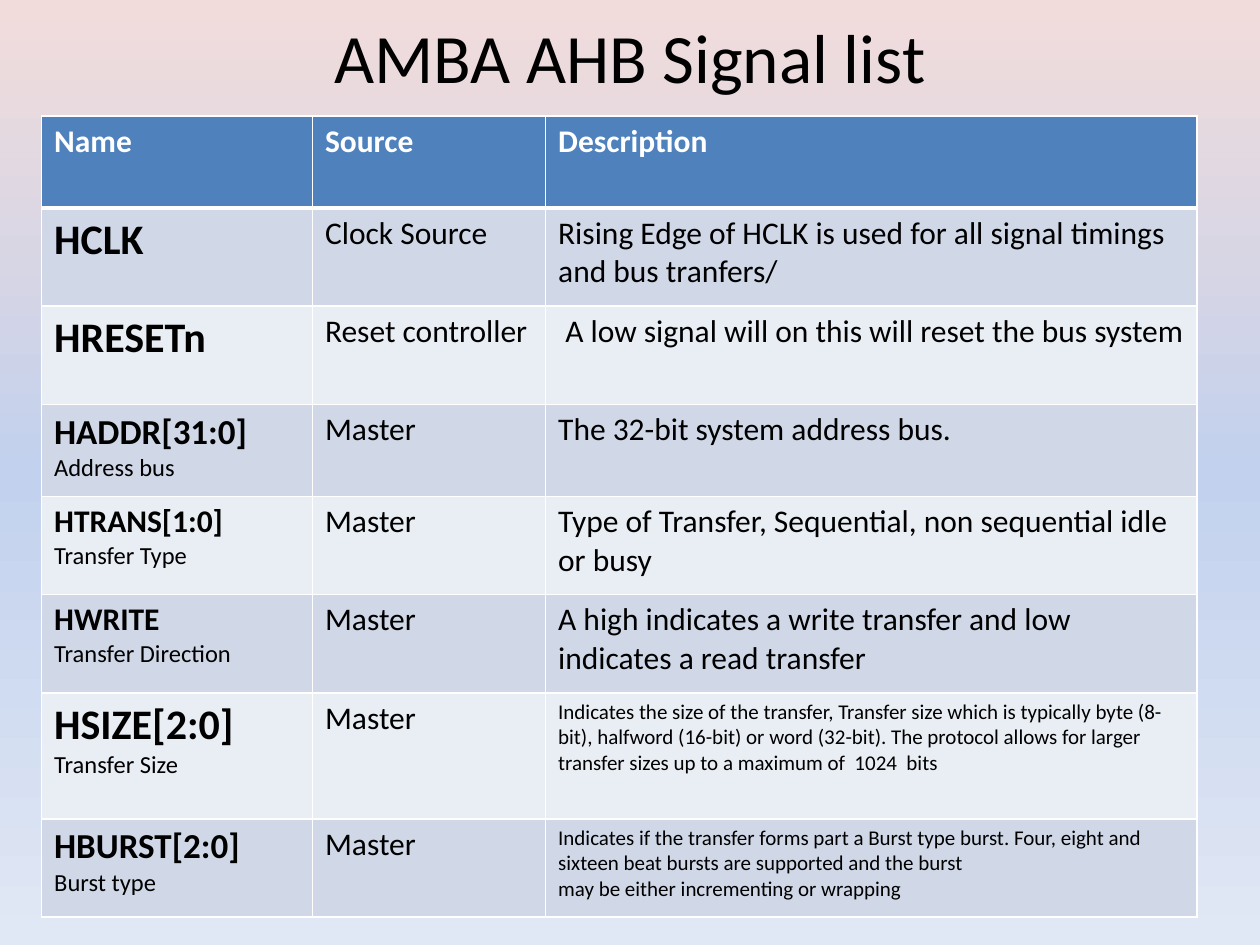
from copy import deepcopy

from lxml import etree
from pptx import Presentation
from pptx.dml.color import RGBColor
from pptx.enum.text import MSO_ANCHOR, PP_ALIGN
from pptx.oxml.ns import qn
from pptx.util import Inches, Pt

MIDDLE = MSO_ANCHOR.MIDDLE
CENTER = PP_ALIGN.CENTER
FONT = "Calibri"
COLORS = {
    "sky_top": "F2DCDB", "sky_middle": "C2D1ED", "sky_bottom": "E1E8F5",
    "header": "4F81BD", "band_dark": "D0D8E8", "band_light": "E9EDF4",
    "white": "FFFFFF", "black": "000000",
}
COLUMNS = [2.15, 1.85, 5.17]
ROWS = [0.73, 0.78, 0.78, 0.73, 0.78, 0.78, 1, 0.78]
THIN, THICK = Pt(1), Pt(3)

# Signal, size of its name, subtitle, source, size of the description, description
SIGNALS = [
    ("HCLK", 24, "", "Clock Source", 18,
     "Rising Edge of HCLK is used for all signal timings and bus tranfers/"),
    ("HRESETn", 24, "", "Reset controller", 18,
     " A low signal will on this will reset the bus system"),
    ("HADDR[31:0]", 20, "Address bus", "Master", 18,
     "The 32-bit system address bus."),
    ("HTRANS[1:0]", 18, "Transfer Type", "Master", 18,
     "Type of Transfer, Sequential, non sequential idle or busy"),
    ("HWRITE", 18, "Transfer Direction", "Master", 18,
     "A high indicates a write transfer and low indicates a read transfer"),
    ("HSIZE[2:0]", 24, "Transfer Size", "Master", 12,
     "Indicates the size of the transfer, Transfer size which is typically byte (8-bit), "
     "halfword (16-bit) or word (32-bit). The protocol allows for larger transfer sizes "
     "up to a maximum of  1024  bits"),
    ("HBURST[2:0]", 20, "Burst type", "Master", 12,
     "Indicates if the transfer forms part a Burst type burst. Four, eight and sixteen "
     "beat bursts are supported and the burst\nmay be either incrementing or wrapping"),
]


def write(frame, lines, color="black"):
    """Fill a text frame with one paragraph per (text, size, bold) line."""
    for index, (text, size, bold) in enumerate(lines):
        paragraph = frame.add_paragraph() if index else frame.paragraphs[0]
        run = paragraph.add_run()
        run.text = text
        looks = {"name": FONT, "size": Pt(size), "bold": bold}
        for attribute, value in looks.items():
            setattr(run.font, attribute, value)
        run.font.color.rgb = RGBColor.from_string(COLORS[color])


def add_borders(cell, widths):
    properties = cell._tc.get_or_add_tcPr()
    for position, (side, width) in enumerate(widths.items()):
        line = etree.Element(qn(f"a:ln{side}"), w=str(width))
        fill = etree.SubElement(line, qn("a:solidFill"))
        etree.SubElement(fill, qn("a:srgbClr"), val=COLORS["white"])
        properties.insert(position, line)


deck = Presentation()
deck.slide_width, deck.slide_height = Inches(10), Inches(7.5)
slide = deck.slides.add_slide(deck.slide_layouts[6])

# Background: three colours from top to bottom
sky = slide.background.fill
sky.gradient()
sky.gradient_angle = 270
stop_list = slide.element.find(".//" + qn("a:gsLst"))
stop_list.insert(1, deepcopy(stop_list[0]))
for index, stop in enumerate(sky.gradient_stops):
    stop.position = index / 2
    stop.color.rgb = RGBColor.from_string(
        COLORS[("sky_top", "sky_middle", "sky_bottom")[index]])

# Title
title = slide.shapes.add_textbox(
    Inches(0.5), Inches(0.13), Inches(9), Inches(0.62)).text_frame
title.word_wrap = True
title.vertical_anchor = MIDDLE
write(title, [("AMBA AHB Signal list", 39.6, False)])
title.paragraphs[0].alignment = CENTER

# Signal table
table = slide.shapes.add_table(
    len(ROWS), len(COLUMNS), Inches(0.33), Inches(0.92),
    Inches(sum(COLUMNS)), Inches(sum(ROWS))).table
for column, width in zip(table.columns, COLUMNS):
    column.width = Inches(width)
for row, height in zip(table.rows, ROWS):
    row.height = Inches(height)

contents = [[[(heading, 18, True)] for heading in ("Name", "Source", "Description")]]
for signal, signal_size, subtitle, source, size, description in SIGNALS:
    name_lines = [(signal, signal_size, True)]
    if subtitle:
        name_lines.append((subtitle, 14, False))
    contents.append([
        name_lines,
        [(source, 18, False)],
        [(part, size, False) for part in description.split("\n")],
    ])

for r, row_contents in enumerate(contents):
    band = "header" if r == 0 else "band_dark" if r % 2 else "band_light"
    for c, lines in enumerate(row_contents):
        cell = table.cell(r, c)
        cell.fill.solid()
        cell.fill.fore_color.rgb = RGBColor.from_string(COLORS[band])
        add_borders(cell, {
            "L": THIN, "R": THIN,
            "T": THICK if r == 1 else THIN,
            "B": THICK if r == 0 else THIN,
        })
        write(cell.text_frame, lines, "white" if r == 0 else "black")

deck.save("out.pptx")
